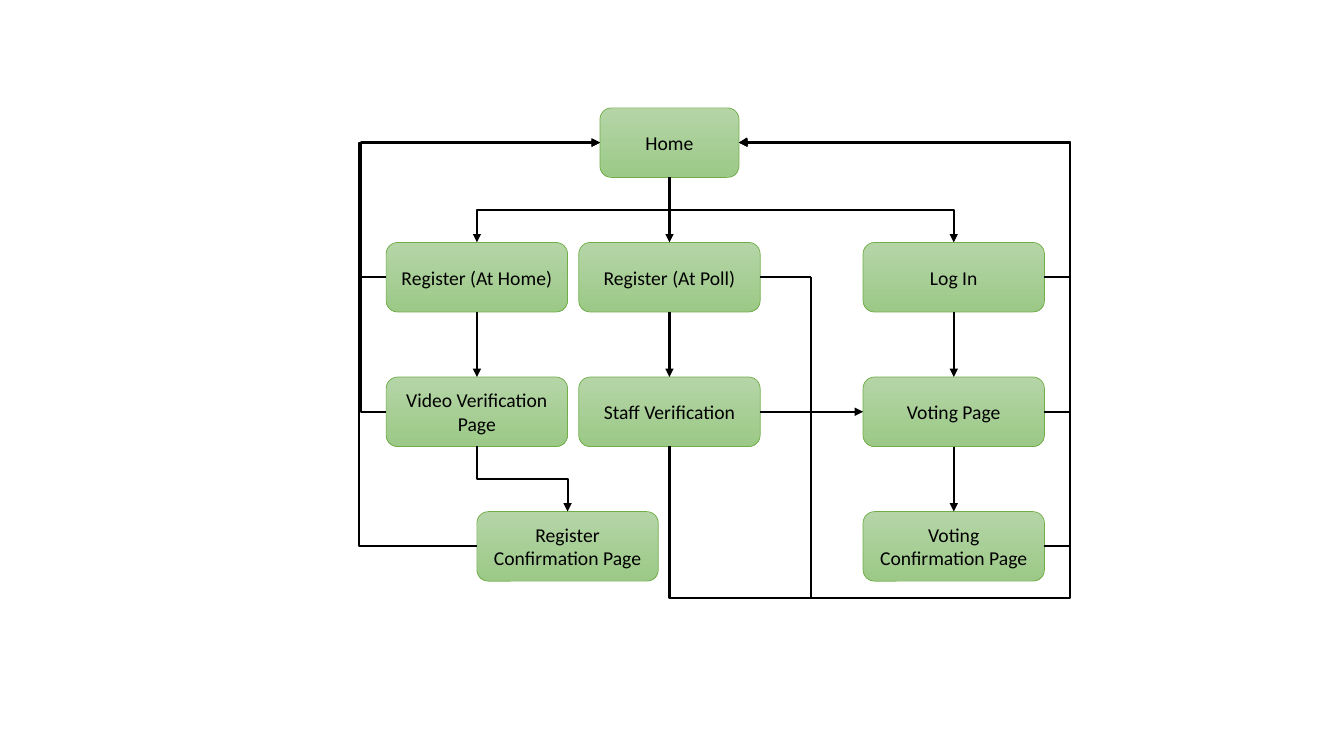
from dataclasses import dataclass

from lxml import etree
from pptx import Presentation
from pptx.dml.color import RGBColor
from pptx.enum.shapes import MSO_CONNECTOR, MSO_SHAPE
from pptx.enum.text import MSO_ANCHOR, PP_ALIGN
from pptx.oxml.ns import qn
from pptx.util import Inches, Pt

ROUNDED = MSO_SHAPE.ROUNDED_RECTANGLE
STRAIGHT, ELBOW = MSO_CONNECTOR.STRAIGHT, MSO_CONNECTOR.ELBOW
MIDDLE, CENTER = MSO_ANCHOR.MIDDLE, PP_ALIGN.CENTER

COLORS = {"top": "B5D5A7", "bottom": "9CC987", "border": "70AD47", "ink": "000000"}
FONT = "Calibri"

# Grid of pages, in inches
PAGE_WIDTH, HOME_WIDTH, PAGE_HEIGHT = 1.8, 1.38, 0.69
ROWS = [1.07 + 1.335 * row for row in range(4)]
LEFT, LEFT_SHIFTED, MIDDLE_COLUMN, RIGHT = 4.73, 5.63, 6.64, 9.46

# Lanes of the lines that return to Home
LEFT_LANE, OUTER_LEFT_LANE, RIGHT_LANE = 3.58, 3.56, 10.61
POLL_LANE, BOTTOM_LANE = 8.04, 5.93

Point = tuple[float, float]


@dataclass(frozen=True)
class Page:
    label: str
    center: float
    row: int
    width: float = PAGE_WIDTH

    @property
    def y(self) -> float:
        return ROWS[self.row] + PAGE_HEIGHT / 2

    @property
    def left(self) -> Point:
        return self.center - self.width / 2, self.y

    @property
    def right(self) -> Point:
        return self.center + self.width / 2, self.y

    @property
    def top(self) -> Point:
        return self.center, ROWS[self.row]

    @property
    def bottom(self) -> Point:
        return self.center, ROWS[self.row] + PAGE_HEIGHT


@dataclass(frozen=True)
class Link:
    start: Point
    end: Point
    bends: tuple[float, ...] = ()  # alternating lane positions
    vertical: bool = False  # direction of the first segment
    arrow: bool = True


def drop(upper: Page, lower: Page) -> Link:
    """Link the bottom of one page to the top of a page below it."""
    if upper.center == lower.center:
        return Link(upper.bottom, lower.top)
    halfway = (upper.bottom[1] + lower.top[1]) / 2
    return Link(upper.bottom, lower.top, (halfway,), vertical=True)


def add_page(shapes, page: Page) -> None:
    shape = shapes.add_shape(
        ROUNDED, Inches(page.left[0]), Inches(page.top[1]),
        Inches(page.width), Inches(PAGE_HEIGHT))
    shape.shadow.inherit = False
    shape.fill.gradient()
    shape.fill.gradient_angle = 270
    for stop, name in zip(shape.fill.gradient_stops, ("top", "bottom")):
        stop.color.rgb = RGBColor.from_string(COLORS[name])
    shape.line.color.rgb = RGBColor.from_string(COLORS["border"])
    shape.line.width = Pt(0.5)

    frame = shape.text_frame
    frame.word_wrap = True
    frame.vertical_anchor = MIDDLE
    paragraph = frame.paragraphs[0]
    paragraph.alignment = CENTER
    run = paragraph.add_run()
    run.text = page.label
    run.font.name = FONT
    run.font.size = Pt(14)
    run.font.color.rgb = RGBColor.from_string(COLORS["ink"])


def add_link(shapes, link: Link) -> None:
    (x1, y1), (x2, y2) = link.start, link.end
    begin, end = link.start, link.end
    if link.vertical:
        # Turn the ends back by 90 degrees; the rotation below restores them
        middle_x, middle_y = (x1 + x2) / 2, (y1 + y2) / 2
        half_x, half_y = (x2 - x1) / 2, (y2 - y1) / 2
        begin = middle_x - half_y, middle_y + half_x
        end = middle_x + half_y, middle_y - half_x
    connector = shapes.add_connector(
        ELBOW if link.bends else STRAIGHT,
        *(Inches(value) for value in (*begin, *end)))
    properties = connector._element.spPr
    if link.vertical:
        properties.find(qn("a:xfrm")).set("rot", "5400000")

    # Bend positions as shares of the connector's extent
    if link.bends:
        geometry = properties.find(qn("a:prstGeom"))
        geometry.set("prst", f"bentConnector{len(link.bends) + 2}")
        guides = geometry.find(qn("a:avLst"))
        if guides is None:
            guides = etree.SubElement(geometry, qn("a:avLst"))
        for index, bend in enumerate(link.bends):
            axis = (index + link.vertical) % 2
            extent = link.end[axis] - link.start[axis]
            share = round((bend - link.start[axis]) / extent * 100000)
            etree.SubElement(guides, qn("a:gd"),
                             name=f"adj{index + 1}", fmla=f"val {share}")

    connector.line.color.rgb = RGBColor.from_string(COLORS["ink"])
    connector.line.width = Pt(1.5)
    if link.arrow:
        etree.SubElement(connector.line._get_or_add_ln(), qn("a:tailEnd"), type="triangle")
    etree.SubElement(properties, qn("a:effectLst"))


presentation = Presentation()
presentation.slide_width = Inches(13.33)
presentation.slide_height = Inches(7.5)
slide = presentation.slides.add_slide(presentation.slide_layouts[6])

# Pages
home = Page("Home", MIDDLE_COLUMN, 0, HOME_WIDTH)
register_home = Page("Register (At Home)", LEFT, 1)
register_poll = Page("Register (At Poll)", MIDDLE_COLUMN, 1)
log_in = Page("Log In", RIGHT, 1)
video = Page("Video Verification Page", LEFT, 2)
staff = Page("Staff Verification", MIDDLE_COLUMN, 2)
voting = Page("Voting Page", RIGHT, 2)
register_done = Page("Register Confirmation Page", LEFT_SHIFTED, 3)
voting_done = Page("Voting Confirmation Page", RIGHT, 3)
pages = [home, register_home, register_poll, log_in, video, staff, voting,
         register_done, voting_done]

# Steps forward
steps = [(home, register_home), (home, register_poll), (home, log_in),
         (register_home, video), (register_poll, staff), (log_in, voting),
         (video, register_done), (voting, voting_done)]
links = [drop(upper, lower) for upper, lower in steps]
links.append(Link(staff.right, voting.left))

# Ways back to Home
links += [Link(page.right, home.right, (RIGHT_LANE,))
          for page in (log_in, voting, voting_done)]
links += [Link(page.left, home.left, (LEFT_LANE,)) for page in (register_home, video)]
links += [
    Link(register_done.left, home.left, (OUTER_LEFT_LANE,)),
    Link(staff.bottom, home.right, (BOTTOM_LANE, RIGHT_LANE, home.y - 0.01), vertical=True),
    Link(register_poll.right, (POLL_LANE, register_poll.y), arrow=False),
    Link((POLL_LANE, register_poll.y), (POLL_LANE, BOTTOM_LANE), arrow=False),
]

for page in pages:
    add_page(slide.shapes, page)
for link in links:
    add_link(slide.shapes, link)

presentation.save("out.pptx")
